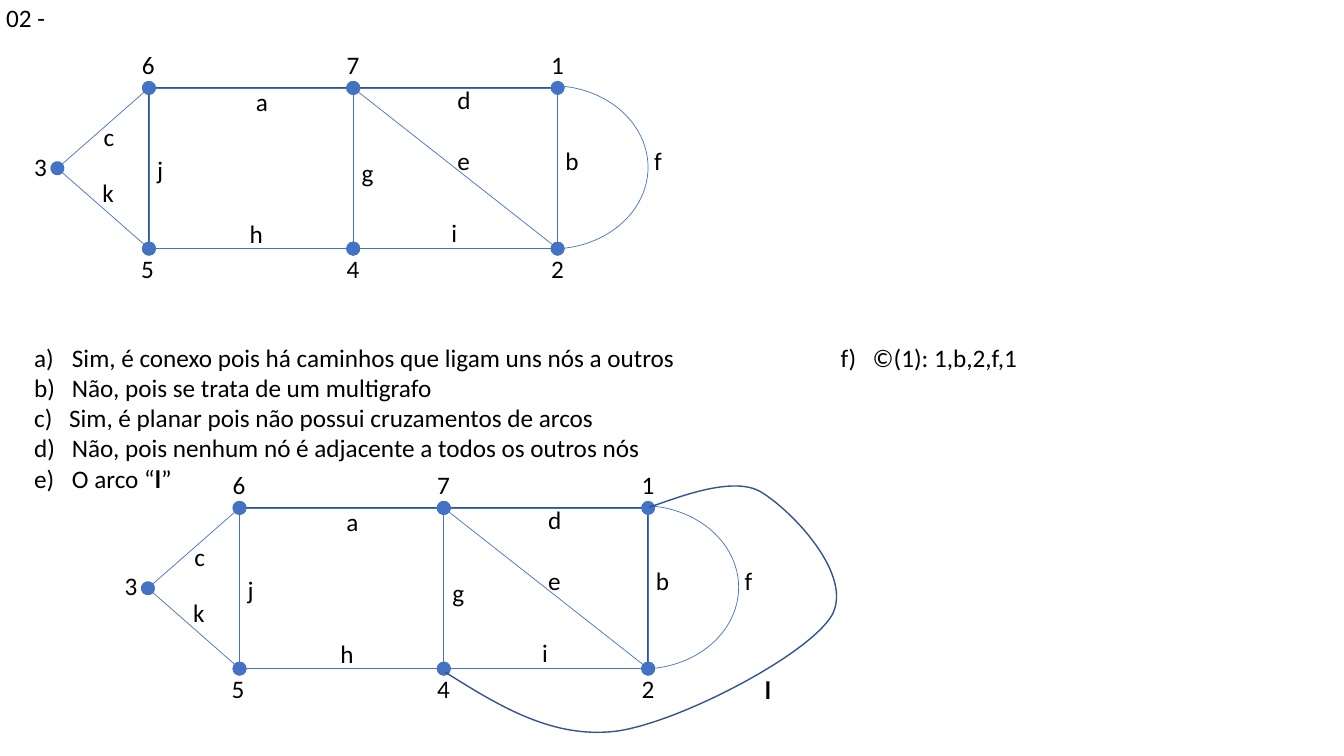
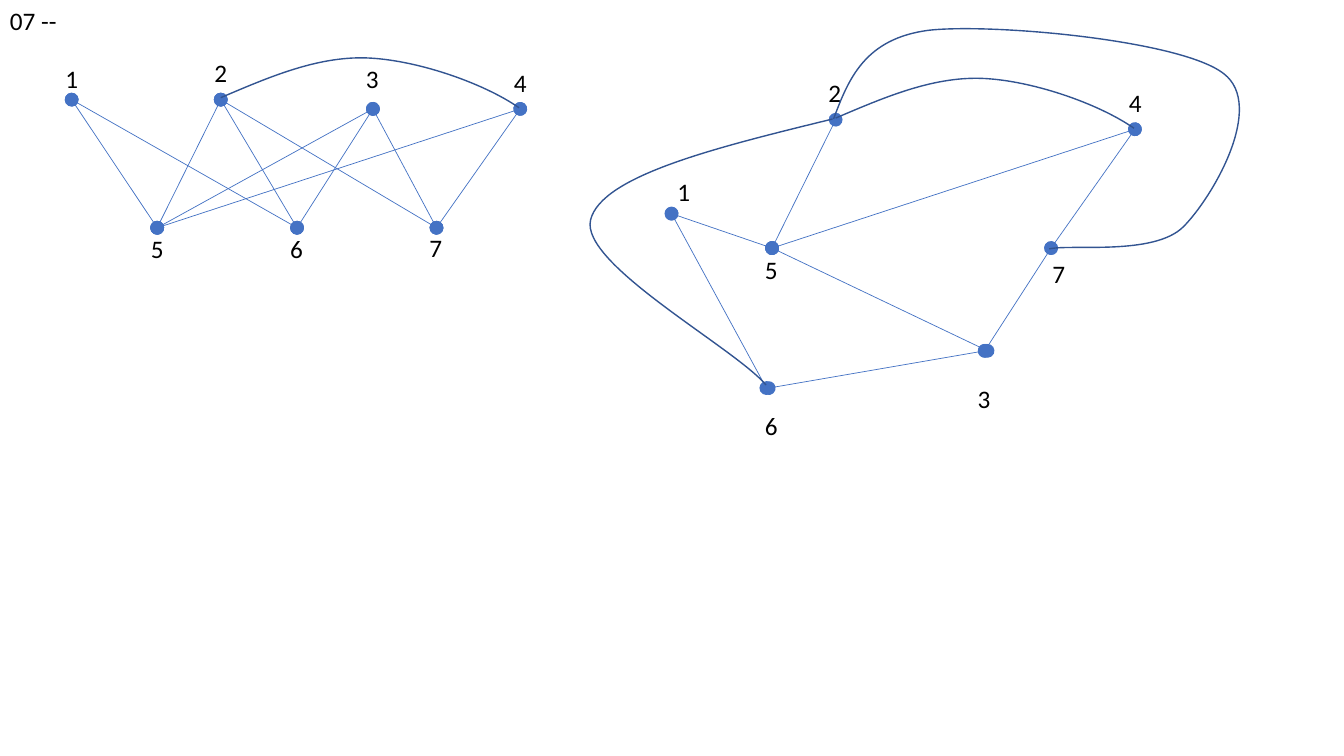
from itertools import chain

from lxml import etree
from pptx import Presentation
from pptx.dml.color import RGBColor
from pptx.enum.shapes import MSO_CONNECTOR, MSO_SHAPE
from pptx.enum.text import MSO_AUTO_SIZE
from pptx.oxml.ns import qn
from pptx.util import Pt

STRAIGHT = MSO_CONNECTOR.STRAIGHT
RECTANGLE = MSO_SHAPE.RECTANGLE
ARC = MSO_SHAPE.ARC
GROW = MSO_AUTO_SIZE.SHAPE_TO_FIT_TEXT

COLORS = {"edge": "4472C4", "outline": "325491", "text": "000000"}
FONT = "Calibri"
TEXT_SIZE = 18
LABEL_HEIGHT = 29.08
LABEL_WIDTH = 24
NARROW_WIDTHS = {"c": 22.3, "f": 20.2, "g": 23, "i": 18.7, "j": 18.7,
                 "k": 23, "l": 18.7}
EDGE_WIDTH = 0.5
OUTLINE_WIDTH = 1
CURVE_STEPS = 50

LEFT, MIDDLE, RIGHT = 106.4, 252.3, 398.3
TOP, BOTTOM = 62.8, 177.6
MULTIGRAPH_NODES = {
    "1": (RIGHT, TOP), "2": (RIGHT, BOTTOM), "3": (41, 120.2),
    "4": (MIDDLE, BOTTOM), "5": (LEFT, BOTTOM), "6": (LEFT, TOP),
    "7": (MIDDLE, TOP),
}
MULTIGRAPH_EDGES = "74 71 21 24 54 56 76 27 36 35"
MULTIGRAPH_LABELS = {
    "3": (17.3, 104.2), "6": (94.3, 31.6), "7": (240.5, 31.6),
    "1": (386.6, 31.6), "2": (386.6, 177.1), "4": (240.5, 177.1),
    "5": (93.7, 177.1), "c": (67, 83.4), "a": (175.7, 58.4),
    "d": (319.7, 56.7), "e": (319.7, 100.2), "b": (396.7, 100.2),
    "f": (460.1, 100.2), "i": (315.4, 152), "h": (171.3, 152.5),
    "k": (66.1, 123.2), "j": (105.1, 106.7), "g": (251.3, 108.8),
}
LOWER_OFFSET = (64.7, 300)
ARC_L = [(318.2, 480.2), (357.1, 504.7), (396, 528.5), (442.1, 522),
         (487.4, 514.8), (576.7, 468), (594, 439.9), (610.6, 411.1),
         (565.2, 364.3), (543.6, 351.4), (522, 338.4), (476.6, 358.6),
         (463.7, 362.2)]

CROSSED_NODES = {
    "1": (51.2, 71.2), "2": (157.7, 71.2), "3": (266.4, 77.8),
    "4": (371.6, 77.8), "5": (112.3, 162.7), "6": (212.2, 162.7),
    "7": (311.8, 162.7),
}
CROSSED_EDGES = "15 25 26 36 37 47 16 35 27 45"
CROSSED_LABELS = {
    "1": (39.6, 41.4), "2": (146, 37.3), "3": (254.3, 41.8),
    "4": (360, 44.6), "5": (100.6, 163.4), "6": (200.2, 163.4),
    "7": (299.6, 162.7),
}
ARC_2_4 = [(157.7, 69.8), (191.5, 55.4), (226.1, 40.3), (261.4, 41.4),
           (296.6, 42.5), (344.9, 59), (370.8, 77)]

# Nodes 3 and 6 each have a second, slightly displaced end point: t and s.
PLANAR_NODES = {
    "1": (479.7, 152.6), "2": (596.9, 85.5), "3": (703.4, 250.6),
    "4": (810.7, 92.3), "5": (551.5, 177.2), "6": (549.1, 277.2),
    "7": (750.8, 177.2), "s": (547.4, 277.2), "t": (705.4, 250.6),
}
PLANAR_EDGES = "15 25 36 37 47 1s t5 45"
PLANAR_LABELS = {
    "1": (476.8, 122.4), "2": (584.7, 51.8), "3": (691.2, 270),
    "4": (799.2, 59), "5": (539.3, 177.8), "6": (539.3, 289.4),
    "7": (744.7, 181.2),
}
PLANAR_OFFSET = (439.2, 14.6)
ARC_2_6 = [(594.7, 85), (512.6, 105.1), (429.8, 125.3), (421.9, 157),
           (414, 188.6), (524.9, 248.4), (547.2, 275)]
ARC_2_7 = [(595.4, 85), (606.2, 56.2), (617.8, 27.4), (663.8, 21.6),
           (709.9, 16.6), (843.8, 28.8), (874.1, 52.6), (904.3, 75.6),
           (866.2, 141.1), (845.3, 162), (824.4, 182.9), (764.6, 174.2),
           (749.5, 177.8)]

ANSWER_INDENT = 27
TYPED_INDENT = 25
ANSWER_TABS = (576, 599)
# Each answer: the number its automatic letter starts at, and its runs.
ANSWERS = [
    (1, ["Sim, é conexo pois há caminhos que ligam uns nós a outros"
         "\tf)\t©(1): 1,b,2,f,1"]),
    (1, ["Não, pois se trata de um multigrafo"]),
    (None, ["c)\tSim, é planar pois não possui cruzamentos de arcos"]),
    (4, ["Não, pois nenhum nó é adjacente a todos os outros nós"]),
    (4, ["O arco “", "l", "”"]),
]


def shift(point, offset):
    """Move a point by an offset."""
    return point[0] + offset[0], point[1] + offset[1]


def style_line(line, color, width):
    """Give a line its colour and width."""
    line.color.rgb = RGBColor.from_string(COLORS[color])
    line.width = Pt(width)


def style_outline(shape, color, width):
    """Leave a shape with an outline only."""
    shape.shadow.inherit = False
    shape.fill.background()
    style_line(shape.line, color, width)


def style_run(run, bold=False):
    """Apply the shared text style to a run."""
    run.font.name = FONT
    run.font.size = Pt(TEXT_SIZE)
    run.font.bold = bold
    run.font.color.rgb = RGBColor.from_string(COLORS["text"])


def add_text_box(shapes, position, width, height=LABEL_HEIGHT, wrap=True):
    """Add an empty text box that grows with its text."""
    box = shapes.add_textbox(*map(Pt, (*position, width, height)))
    box.text_frame.word_wrap = wrap
    box.text_frame.auto_size = GROW
    return box.text_frame


def add_label(shapes, text, position, width=None, bold=False, wrap=False):
    """Add a one-line label."""
    width = width or NARROW_WIDTHS.get(text, LABEL_WIDTH)
    text_frame = add_text_box(shapes, position, width, wrap=wrap)
    text_frame.text = text
    style_run(text_frame.paragraphs[0].runs[0], bold)


def add_edges(shapes, nodes, edges, offset=(0, 0)):
    """Join pairs of nodes by lines with a dot at each end."""
    for start, end in edges.split():
        ends = chain(shift(nodes[start], offset), shift(nodes[end], offset))
        connector = shapes.add_connector(STRAIGHT, *map(Pt, ends))
        style_line(connector.line, "edge", EDGE_WIDTH)
        properties = connector._element.spPr
        line = properties.find(qn("a:ln"))
        for tag in ("a:headEnd", "a:tailEnd"):
            etree.SubElement(line, qn(tag), type="oval", w="lg", len="lg")
        etree.SubElement(properties, qn("a:effectLst"))


def add_labels(shapes, labels, offset=(0, 0)):
    """Write the names of nodes and edges."""
    for text, position in labels.items():
        add_label(shapes, text, shift(position, offset))


def bezier_points(controls):
    """Sample a chain of cubic curves that share their end points."""
    for first in range(0, len(controls) - 1, 3):
        a, b, c, d = controls[first:first + 4]
        for step in range(1, CURVE_STEPS + 1):
            t = step / CURVE_STEPS
            s = 1 - t
            yield tuple(
                Pt(s**3 * a[i] + 3 * s * s * t * b[i]
                   + 3 * s * t * t * c[i] + t**3 * d[i])
                for i in (0, 1))


def add_curve(shapes, controls, offset=(0, 0)):
    """Draw a chain of cubic curves; sampled points only size its box."""
    controls = [shift(point, offset) for point in controls]
    builder = shapes.build_freeform(*map(Pt, controls[0]))
    builder.add_line_segments(bezier_points(controls), close=False)
    shape = builder.convert_to_shape()
    outline = next(shape._element.iter(qn("a:path")))
    for segment in outline.findall(qn("a:lnTo")):
        outline.remove(segment)
    for first in range(1, len(controls), 3):
        curve = etree.SubElement(outline, qn("a:cubicBezTo"))
        for x, y in controls[first:first + 3]:
            etree.SubElement(curve, qn("a:pt"), x=str(Pt(x) - shape.left),
                             y=str(Pt(y) - shape.top))
    style_outline(shape, "outline", OUTLINE_WIDTH)


def add_multigraph(slide, offset=(0, 0)):
    """Draw the grouped multigraph with its frame and parallel arc."""
    shapes = slide.shapes.add_group_shape().shapes
    frame = shapes.add_shape(
        RECTANGLE,
        *map(Pt, (*shift((LEFT, TOP), offset), RIGHT - LEFT, BOTTOM - TOP)))
    style_outline(frame, "outline", OUTLINE_WIDTH)
    add_edges(shapes, MULTIGRAPH_NODES, MULTIGRAPH_EDGES, offset)
    arc = shapes.add_shape(
        ARC, *map(Pt, (*shift((325.4, 61.2), offset), 137.5, 116.6)))
    arc.adjustments[1] = 50.248
    style_outline(arc, "edge", EDGE_WIDTH)
    add_labels(shapes, MULTIGRAPH_LABELS, offset)


def format_answer(paragraph, start):
    """Give an answer its hanging indent, letter and tab stops."""
    indent = Pt(ANSWER_INDENT if start else TYPED_INDENT)
    properties = paragraph._p.get_or_add_pPr()
    properties.set("marL", str(indent))
    properties.set("indent", str(-indent))
    if start:
        etree.SubElement(properties, qn("a:buFont"), typeface=FONT)
        number = etree.SubElement(properties, qn("a:buAutoNum"),
                                  type="alphaLcParenR")
        if start > 1:
            number.set("startAt", str(start))
    tabs = etree.SubElement(properties, qn("a:tabLst"))
    for stop in ANSWER_TABS:
        etree.SubElement(tabs, qn("a:tab"), pos=str(Pt(stop)), algn="l")


def add_answers(slide):
    """Write the lettered answers; the second run of an answer is bold."""
    text_frame = add_text_box(slide.shapes, (17.3, 240.8), 879, 160)
    new_paragraphs = (text_frame.add_paragraph() for _ in ANSWERS[1:])
    paragraphs = chain(text_frame.paragraphs, new_paragraphs)
    for paragraph, (start, parts) in zip(paragraphs, ANSWERS):
        format_answer(paragraph, start)
        for index, part in enumerate(parts):
            run = paragraph.add_run()
            run.text = part
            style_run(run, bold=index == 1)


def build_question_two(slide):
    """Multigraph, answers, and the multigraph with arc l added."""
    add_multigraph(slide)
    add_answers(slide)
    add_multigraph(slide, LOWER_OFFSET)
    add_label(slide.shapes, "l", (539.3, 478.1), bold=True)
    add_label(slide.shapes, "02 -", (-2.7, -1.7), 56.9, wrap=True)
    add_curve(slide.shapes, ARC_L)


def build_question_seven(slide):
    """A graph with crossings beside its planar drawing."""
    crossed = slide.shapes.add_group_shape().shapes
    add_edges(crossed, CROSSED_NODES, CROSSED_EDGES)
    add_curve(crossed, ARC_2_4)
    add_labels(crossed, CROSSED_LABELS)
    add_edges(slide.shapes, PLANAR_NODES, PLANAR_EDGES)
    add_curve(slide.shapes, ARC_2_4, PLANAR_OFFSET)
    add_labels(slide.shapes, PLANAR_LABELS)
    add_curve(slide.shapes, ARC_2_6)
    add_curve(slide.shapes, ARC_2_7)
    add_label(slide.shapes, "07 --", (0, 0), 48.2)


def main():
    """Build and save the presentation."""
    presentation = Presentation()
    presentation.slide_width = Pt(960)
    presentation.slide_height = Pt(540)
    blank = presentation.slide_layouts[6]
    for build in (build_question_two, build_question_seven):
        build(presentation.slides.add_slide(blank))
    presentation.save("out.pptx")


main()
